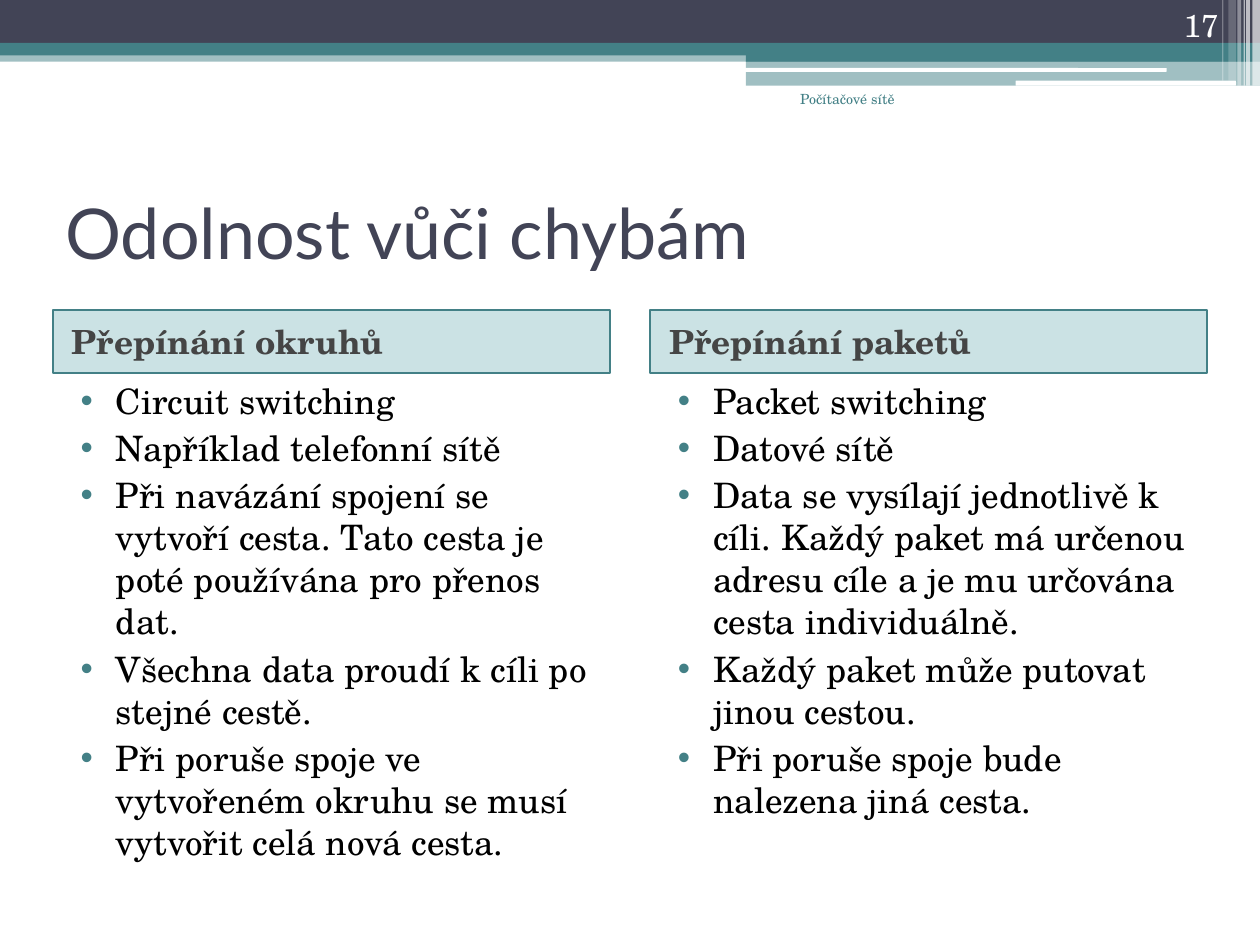
"""Build the slide comparing fault tolerance of circuit and packet switching."""
from lxml.etree import SubElement
from pptx import Presentation
from pptx.dml.color import RGBColor
from pptx.enum.shapes import MSO_SHAPE as Shape
from pptx.enum.text import MSO_ANCHOR as Anchor, MSO_AUTO_SIZE as AutoSize, PP_ALIGN as Align
from pptx.oxml.ns import qn
from pptx.util import Inches, Pt

NAVY = RGBColor(0x42, 0x44, 0x56)
TEAL = RGBColor(0x43, 0x80, 0x86)
AQUA = RGBColor(0x32, 0x8E, 0x97)
GRAY = RGBColor(0x45, 0x45, 0x45)
WHITE = RGBColor(0xFF, 0xFF, 0xFF)
BLACK = RGBColor(0, 0, 0)
SERIF = "TeX Gyre Schola"


def paint(shape, color, opacity=100):
    shape.fill.solid()
    shape.fill.fore_color.rgb = color
    if opacity < 100:
        color_node = shape.element.spPr.find(qn("a:solidFill"))[0]
        SubElement(color_node, qn("a:alpha"), val=str(opacity * 1000))


def write(box, place, lines, font, color, anchor=Anchor.TOP, align=Align.LEFT, before=0, indent=(0, 0)):
    box.left, box.top, box.width, box.height = [Inches(value) for value in place]
    frame = box.text_frame
    frame.text = "\n".join(lines)
    frame_format = {"word_wrap": True, "auto_size": AutoSize.NONE, "vertical_anchor": anchor}
    for name, value in frame_format.items():
        setattr(frame, name, value)
    for para in frame.paragraphs:
        para.alignment = align
        para.space_before = Pt(before)
        properties = para._p.get_or_add_pPr()
        for name, value in zip(("marL", "indent"), indent):
            properties.set(name, str(Inches(value)))
        for span in para.runs:
            for name, value in font.items():
                setattr(span.font, name, value)
            span.font.color.rgb = color


deck = Presentation()
deck.slide_width, deck.slide_height = Inches(10), Inches(7.5)
page = deck.slides.add_slide(deck.slide_layouts[4])

bands = [
    (Shape.RECTANGLE, 0, 0.4, 10, 0.09, TEAL, 50),
    (Shape.RECTANGLE, 0, 0, 10, 0.34, NAVY, 100),
    (Shape.RECTANGLE, 0, 0.34, 10, 0.1, TEAL, 100),
    (Shape.RECTANGLE, 5.92, 0.39, 4.08, 0.1, TEAL, 100),
    (Shape.RECTANGLE, 5.92, 0.48, 4.08, 0.2, TEAL, 50),
    (Shape.ROUNDED_RECTANGLE, 5.91, 0.54, 3.35, 0.03, WHITE, 100),
    (Shape.ROUNDED_RECTANGLE, 8.06, 0.64, 1.75, 0.04, WHITE, 100),
]
stripes = [
    (9.94, 0.06, 0.68, 65),
    (9.89, 0.03, 0.68, 65),
    (9.87, 0.01, 0.68, 60),
    (9.82, 0.03, 0.68, 40),
    (9.75, 0.06, 0.64, 20),
    (9.7, 0.01, 0.64, 30),
]
bands += [(Shape.RECTANGLE, left, 0, width, height, WHITE, opacity)
          for left, width, height, opacity in stripes]
for index, (kind, left, top, width, height, color, opacity) in enumerate(bands):
    band = page.shapes.add_shape(kind, Inches(left), Inches(top), Inches(width), Inches(height))
    band.shadow.inherit = False
    band.line.fill.background()
    paint(band, color, opacity)
    page.shapes._spTree.insert(2 + index, band.element)

write(page.shapes.title, (0.42, 1.25, 9.17, 1.17), ["Odolnost vůči chybám"],
      {"name": "Lato", "size": Pt(40)}, NAVY, Anchor.MIDDLE)

columns = [
    ("Přepínání okruhů", [
        "Circuit switching",
        "Například telefonní sítě",
        "Při navázání spojení se vytvoří cesta. Tato cesta je poté používána pro přenos dat.",
        "Všechna data proudí k cíli po stejné cestě.",
        "Při poruše spoje ve vytvořeném okruhu se musí vytvořit celá nová cesta.",
    ]),
    ("Přepínání paketů", [
        "Packet switching",
        "Datové sítě",
        "Data se vysílají jednotlivě k cíli. Každý paket má určenou adresu cíle "
        "a je mu určována cesta individuálně.",
        "Každý paket může putovat jinou cestou.",
        "Při poruše spoje bude nalezena jiná cesta.",
    ]),
]
for number, (heading, points) in enumerate(columns):
    left = 0.42 + number * 4.74
    header = page.placeholders[1 + 2 * number]
    write(header, (left, 2.46, 4.42, 0.5), [heading],
          {"name": SERIF, "size": Pt(19), "bold": True}, GRAY, Anchor.MIDDLE, before=3, indent=(0.05, 0))
    paint(header, AQUA, 25)
    header.line.color.rgb = TEAL
    header.line.width = Pt(1)

    body = page.placeholders[2 + 2 * number]
    write(body, (left, 2.96, 4.42, 4.25), points,
          {"name": SERIF, "size": Pt(20)}, BLACK, before=3, indent=(0.4, -0.28))
    for para in body.text_frame.paragraphs:
        properties = para._p.get_or_add_pPr()
        bullet_color = SubElement(properties, qn("a:buClr"))
        SubElement(bullet_color, qn("a:srgbClr"), val=str(TEAL))
        SubElement(properties, qn("a:buFont"), typeface="Arial")
        SubElement(properties, qn("a:buChar"), char="•")

labels = [
    ("17", (8.94, 0, 0.83, 0.4), 18, WHITE, Anchor.BOTTOM),
    ("Počítačové sítě", (5.75, 0.67, 1.45, 0.5), 8, TEAL, Anchor.TOP),
]
for text, place, size, color, anchor in labels:
    label = page.shapes.add_textbox(*[Inches(value) for value in place])
    write(label, place, [text], {"name": SERIF, "size": Pt(size)}, color, anchor, Align.RIGHT)

deck.save("out.pptx")
